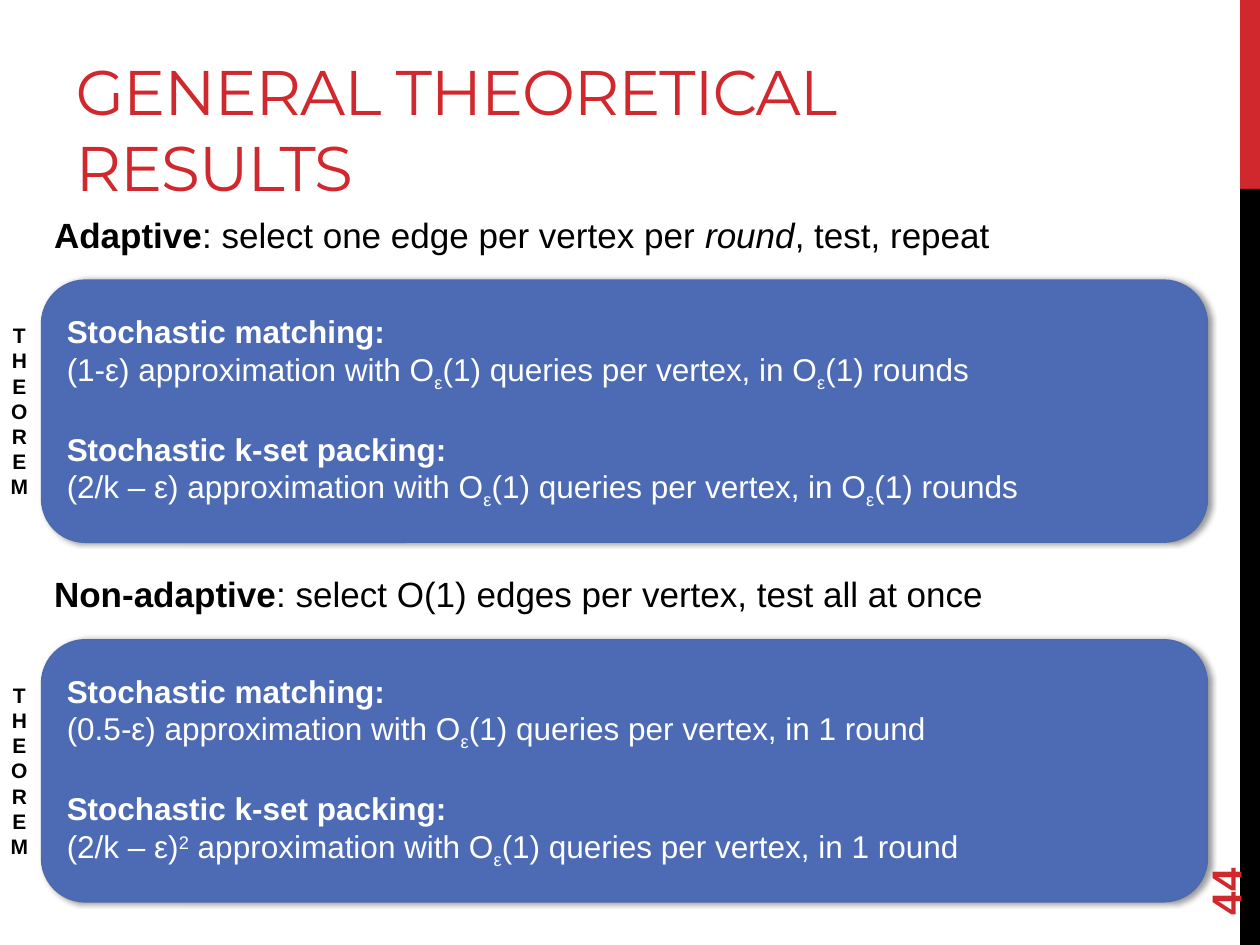
from lxml import etree
from pptx import Presentation
from pptx.dml.color import RGBColor
from pptx.enum.shapes import MSO_SHAPE
from pptx.enum.text import MSO_ANCHOR, PP_ALIGN
from pptx.oxml.ns import qn
from pptx.util import Cm, Pt

RED = RGBColor(0xD1, 0x28, 0x2E)
BLACK = RGBColor(0, 0, 0)
WHITE = RGBColor(0xFF, 0xFF, 0xFF)
BLUE = RGBColor(0x4D, 0x6B, 0xB5)
BLUE_EDGE = RGBColor(0x4E, 0x6A, 0xAE)
RECTANGLE, ROUNDED = MSO_SHAPE.RECTANGLE, MSO_SHAPE.ROUNDED_RECTANGLE
MIDDLE, BOTTOM = MSO_ANCHOR.MIDDLE, MSO_ANCHOR.BOTTOM
LEFT, CENTER = PP_ALIGN.LEFT, PP_ALIGN.CENTER

BOLD, ITALIC, SUB, SUPER = "bold", "italic", "sub", "super"
BASELINES = {SUB: "-25000", SUPER: "30000"}
O_EPSILON = [("O", None), ("ε", SUB), ("(1)", None)]
QUERIES = [(" approximation with ", None), *O_EPSILON, (" queries per vertex, in ", None)]
ONE_ROUND = [("1 round", None)]
EPSILON_ROUNDS = [*O_EPSILON, (" rounds", None)]

SECTIONS = [
    (
        [("Adaptive", BOLD), (": select one edge per vertex per ", None),
         ("round", ITALIC), (", test, repeat", None)],
        [("(1-ε)", None), *QUERIES, *EPSILON_ROUNDS],
        [("(2/k – ε)", None), *QUERIES, *EPSILON_ROUNDS],
    ),
    (
        [("Non-adaptive", BOLD),
         (": select O(1) edges per vertex, test all at once", None)],
        [("(0.5-ε)", None), *QUERIES, *ONE_ROUND],
        [("(2/k – ε)", None), ("2", SUPER), *QUERIES, *ONE_ROUND],
    ),
]
SECTION_TOP, SECTION_STEP = 4.17, 7.25


def merge_plain(pieces):
    """Join neighbouring unstyled pieces so that each becomes one run."""
    merged = []
    for text, style in pieces:
        if merged and style is None and merged[-1][1] is None:
            merged[-1] = (merged[-1][0] + text, None)
        else:
            merged.append((text, style))
    return merged


def fill_paragraph(paragraph, pieces, size, color, align=LEFT):
    paragraph.alignment = align
    paragraph.font.name = "Arial"
    paragraph.font.size = Pt(size)
    paragraph.font.color.rgb = color
    for text, style in merge_plain(pieces):
        run = paragraph.add_run()
        run.text = text
        if style == BOLD:
            run.font.bold = True
        elif style == ITALIC:
            run.font.italic = True
        elif style in BASELINES:
            run.font._element.set("baseline", BASELINES[style])


def add_text(slide, box, pieces, size, color=BLACK, align=LEFT):
    text_box = slide.shapes.add_textbox(*map(Cm, box))
    text_box.text_frame.word_wrap = True
    fill_paragraph(text_box.text_frame.paragraphs[0], pieces, size, color, align)
    return text_box


def add_side_bar(slide, top, height, color):
    bar = slide.shapes.add_shape(RECTANGLE, Cm(25), Cm(top), Cm(0.4), Cm(height))
    bar.shadow.inherit = False
    bar.fill.solid()
    bar.fill.fore_color.rgb = color
    bar.line.fill.background()


def add_soft_shadow(shape):
    shape.shadow.inherit = False
    effects = shape._element.spPr.find(qn("a:effectLst"))
    shadow = etree.SubElement(effects, qn("a:outerShdw"), blurRad=str(Pt(3.1)),
                              dist=str(Pt(1.8)), dir="0", rotWithShape="0")
    color = etree.SubElement(shadow, qn("a:srgbClr"), val=str(BLACK))
    etree.SubElement(color, qn("a:alpha"), val="40000")


def add_theorem(slide, top, matching, packing):
    panel = slide.shapes.add_shape(ROUNDED, Cm(0.84), Cm(top), Cm(23.5), Cm(5.28))
    add_soft_shadow(panel)
    panel.fill.solid()
    panel.fill.fore_color.rgb = BLUE
    panel.line.color.rgb = BLUE_EDGE
    panel.line.width = Pt(1)
    frame = panel.text_frame
    frame.word_wrap = True
    frame.vertical_anchor = MIDDLE
    lines = [[("Stochastic matching:", BOLD)], matching,
             [("Stochastic k-set packing:", BOLD)], packing]
    for index, pieces in enumerate(lines):
        paragraph = frame.add_paragraph() if index else frame.paragraphs[0]
        fill_paragraph(paragraph, pieces, 18, WHITE)
    frame.paragraphs[2].space_before = Pt(21)


def add_section(slide, top, intro, matching, packing):
    add_text(slide, (0.84, top, 22.43, 1.12), intro, 20)
    add_theorem(slide, top + 1.48, matching, packing)
    # The narrow box wraps the word to one letter per line.
    add_text(slide, (-0.08, top + 2.21, 0.94, 3.84), [("THEOREM", BOLD)], 12, align=CENTER)


def set_title(slide, text):
    title = slide.shapes.title
    title.left, title.top, title.width, title.height = map(Cm, (1.27, 0.43, 17.4, 3.81))
    frame = title.text_frame
    frame.text = text
    frame.word_wrap = True
    frame.vertical_anchor = BOTTOM
    paragraph = frame.paragraphs[0]
    paragraph.alignment = LEFT
    paragraph.font.name = "Montserrat"
    paragraph.font.size = Pt(36)
    paragraph.font.color.rgb = RED
    paragraph.runs[0].font._element.set("spc", "-60")


def add_page_number(slide, number):
    box = add_text(slide, (22.86, 16.36, 3.66, 1.02), [(number, BOLD)], 24, RED)
    box.text_frame.vertical_anchor = MIDDLE
    box.rotation = 270


def main():
    presentation = Presentation()
    presentation.slide_width, presentation.slide_height = Cm(25.4), Cm(19.05)
    slide = presentation.slides.add_slide(presentation.slide_layouts[5])
    add_side_bar(slide, 0, 3.81, RED)
    add_side_bar(slide, 3.81, 15.24, BLACK)
    set_title(slide, "GENERAL THEORETICAL RESULTS")
    for index, section in enumerate(SECTIONS):
        add_section(slide, SECTION_TOP + index * SECTION_STEP, *section)
    add_page_number(slide, "44")
    presentation.save("out.pptx")


if __name__ == "__main__":
    main()
